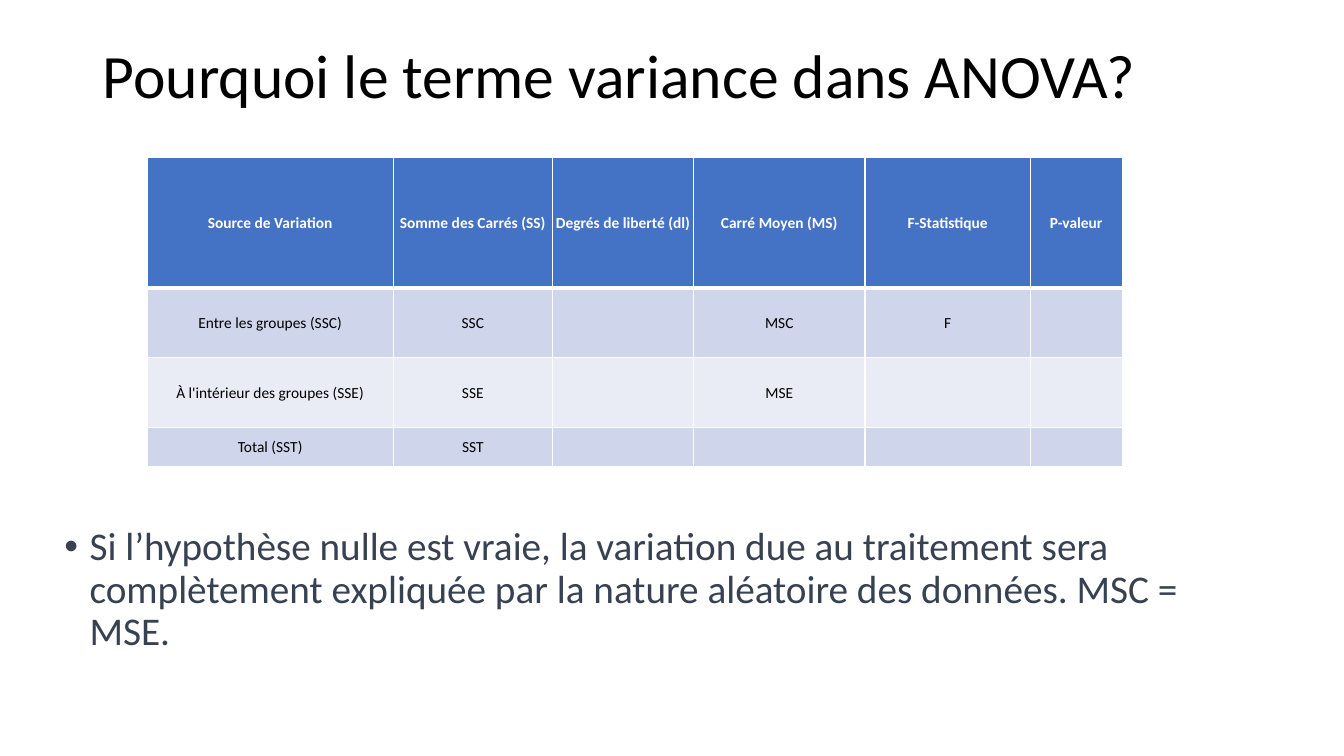
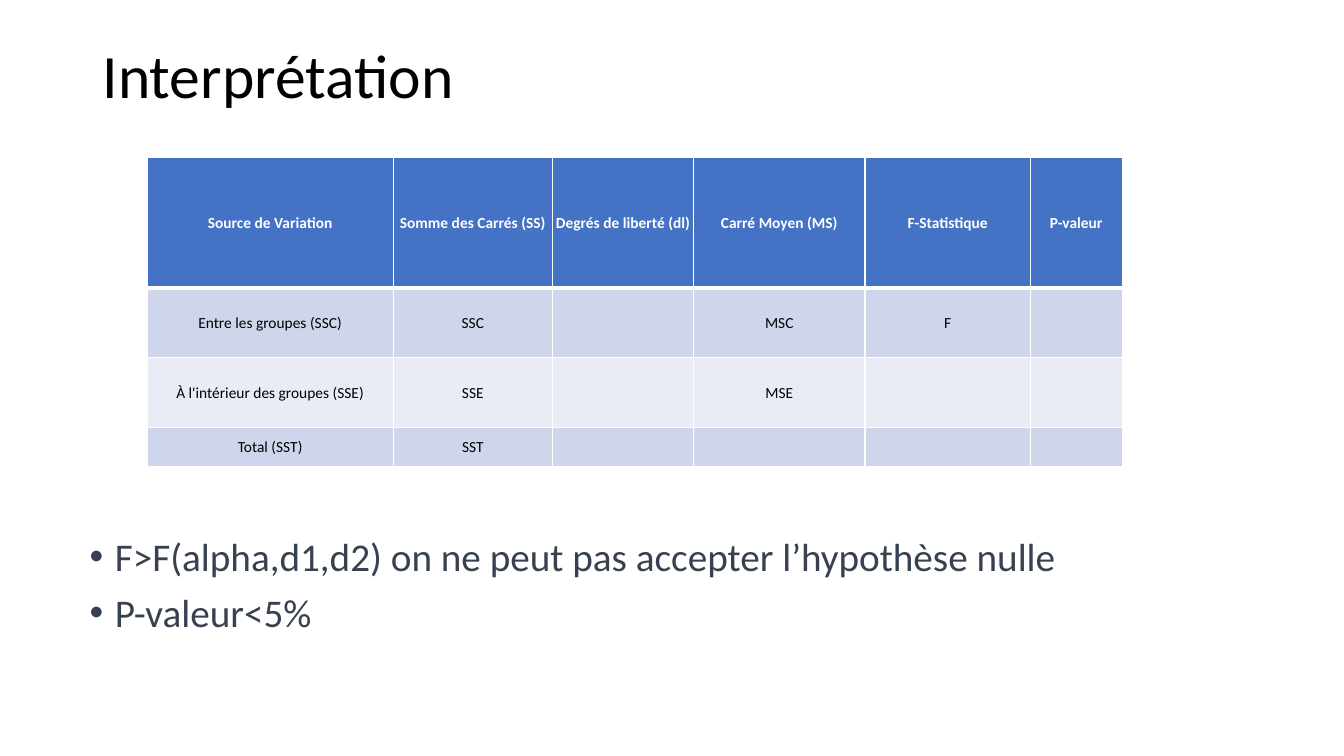
from lxml import etree
from pptx import Presentation
from pptx.dml.color import RGBColor
from pptx.enum.text import MSO_ANCHOR, PP_ALIGN
from pptx.oxml.ns import qn
from pptx.util import Pt

PX = 9144  # 100 px to the inch
FONT = "Calibri"
MIDDLE, CENTER = MSO_ANCHOR.MIDDLE, PP_ALIGN.CENTER
COLORS = {
    "title": "000000",
    "body": "374151",
    "header": "4472C4",
    "header_text": "FFFFFF",
    "bands": ("CFD5EA", "E9EBF5"),
    "cell_text": "000000",
    "border": "FFFFFF",
}

# Content
COLUMN_WIDTHS = (244, 158, 140, 170, 164, 91)
ROW_HEIGHTS = (130, 69, 69, 39)
ANOVA_ROWS = (
    ("Source de Variation", "Somme des Carrés (SS)", "Degrés de liberté (dl)",
     "Carré Moyen (MS)", "F-Statistique", "P-valeur"),
    ("Entre les groupes (SSC)", "SSC", "", "MSC", "F", ""),
    ("À l'intérieur des groupes (SSE)", "SSE", "", "MSE", "", ""),
    ("Total (SST)", "SST", "", "", "", ""),
)
SLIDES = (
    ("Pourquoi le terme variance dans ANOVA?", (54, 518), (
        "Si l’hypothèse nulle est vraie, la variation due au traitement sera "
        "complètement expliquée par la nature aléatoire des données. MSC = MSE.",)),
    ("Interprétation", (79, 528), (
        "F>F(alpha,d1,d2) on ne peut pas accepter l’hypothèse nulle",
        "P-valeur<5%")),
)


def style(paragraph, size, color, bold=False):
    font = paragraph.font
    font.name, font.size, font.bold = FONT, Pt(size), bold
    font.color.rgb = RGBColor.from_string(color)


def add_text(slide, left, top, height, lines, size, color, bullet=False):
    box = slide.shapes.add_textbox(left * PX, top * PX, 1150 * PX, height * PX)
    frame = box.text_frame
    frame.word_wrap = True
    frame.text = "\n".join(lines)
    for paragraph in frame.paragraphs:
        if bullet:
            props = paragraph._p.get_or_add_pPr()
            props.set("marL", str(25 * PX))
            props.set("indent", str(-25 * PX))
            etree.SubElement(props, qn("a:buFont"), typeface="Arial")
            etree.SubElement(props, qn("a:buChar"), char="•")
            paragraph.space_after = Pt(10)
        paragraph.line_spacing = 0.9
        style(paragraph, size, color)


prs = Presentation()
prs.slide_width, prs.slide_height = 1333 * PX, 750 * PX

for title, (body_left, body_top), bullets in SLIDES:
    slide = prs.slides.add_slide(prs.slide_layouts[6])

    # Title and conclusions
    add_text(slide, 92, 40, 77, [title], 44, COLORS["title"])
    add_text(slide, body_left, body_top, 160, bullets, 28, COLORS["body"], bullet=True)

    # ANOVA table
    anova = slide.shapes.add_table(
        len(ROW_HEIGHTS), len(COLUMN_WIDTHS), 146 * PX, 156 * PX,
        sum(COLUMN_WIDTHS) * PX, sum(ROW_HEIGHTS) * PX).table
    for column, width in zip(anova.columns, COLUMN_WIDTHS):
        column.width = width * PX
    for r, (height, texts) in enumerate(zip(ROW_HEIGHTS, ANOVA_ROWS)):
        anova.rows[r].height = height * PX
        is_header = r == 0
        fill = COLORS["header"] if is_header else COLORS["bands"][(r - 1) % 2]
        text_color = COLORS["header_text" if is_header else "cell_text"]
        # The rule under the header is thicker than the others
        borders = {"L": 1, "R": 1, "T": 3 if r == 1 else 1, "B": 3 if is_header else 1}
        for c, text in enumerate(texts):
            cell = anova.cell(r, c)
            cell.text = text
            cell.vertical_anchor = MIDDLE
            cell.margin_left = cell.margin_right = cell.margin_top = PX
            cell.margin_bottom = 0
            paragraph = cell.text_frame.paragraphs[0]
            paragraph.alignment = CENTER
            style(paragraph, 11, text_color, bold=is_header)
            props = cell._tc.get_or_add_tcPr()
            for side, points in borders.items():
                line = etree.SubElement(props, qn(f"a:ln{side}"), w=str(Pt(points)))
                solid = etree.SubElement(line, qn("a:solidFill"))
                etree.SubElement(solid, qn("a:srgbClr"), val=COLORS["border"])
            cell.fill.solid()
            cell.fill.fore_color.rgb = RGBColor.from_string(fill)

prs.save("out.pptx")
